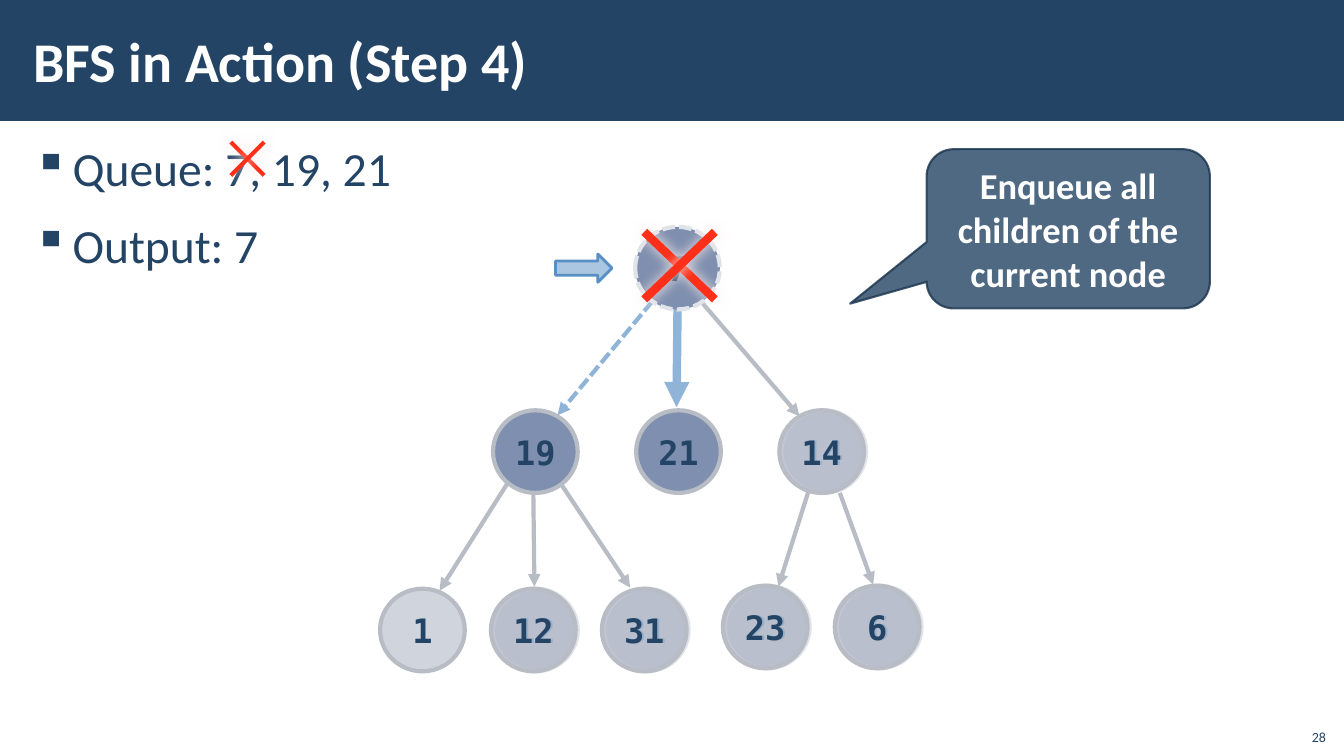
"""Builds the slide showing step 4 of a breadth-first search on a tree."""
from pptx import Presentation, util as u
from pptx.dml.color import RGBColor
from pptx.enum import dml, shapes, text
from pptx.oxml import parse_xml
from pptx.oxml.ns import nsdecls

W, H = 13.33, 7.5
C = {"navy": "234465", "dark": "1A334C", "white": "FFFFFF", "sky": "90B4D8",
     "grey": "B8BCC4", "pale": "E0E3E9", "slate": "A3ABBC", "deep": "002060",
     "root": "7F8FAF", "blue": "588FC5", "red": "FF2F19", "glow": "FFEDEB"}
SANS, MONO = "Calibri", "DejaVu Sans Mono"

TITLE = "BFS in Action (Step 4)"
BULLETS = ["Queue: 7, 19, 21", "Output: 7"]
CALLOUT = "Enqueue all children of the current node"
NUMBER = "28"

NODE_W, NODE_H, GHOST_SHIFT = 0.84, 0.82, 0.02
ROWS = [  # first left, pitch, top, values
    (6.3, 0, 2.25, ["7"]),
    (4.89, 1.42, 4.07, ["19", "21", "14"]),
    (3.77, 1.1, 5.84, ["1", "12", "31"]),
    (7.17, 1.11, 5.81, ["23", "6"]),
]
QUEUED = {"19", "21"}
GHOSTED = {"14", "12", "31", "23", "6"}
EDGES = [
    ((6.47, 2.99), (5.53, 4.12), {"color": "sky", "dash": True}),
    ((6.72, 3.06), (6.71, 4.04), {"color": "sky", "width": 6}),
    ((6.97, 3.01), (7.93, 4.13), {}),
    ((5.03, 4.8), (4.36, 5.86), {}),
    ((5.29, 4.9), (5.3, 5.82), {}),
    ((5.57, 4.81), (6.25, 5.83), {}),
    ((8.02, 4.87), (7.72, 5.82), {}),
    ((8.33, 4.89), (8.66, 5.8), {}),
]
CROSSES = [(2.29, 1.41, 0.33, 0.33, 3), (6.39, 2.3, 0.7, 0.67, 6)]


def xml(tag, inner="", **attrs):
    pairs = " ".join(f'{k}="{v}"' for k, v in attrs.items())
    return parse_xml(f"<a:{tag} {nsdecls('a')} {pairs}>{inner}</a:{tag}>")


def paint(fill, color, alpha=100):
    fill.solid()
    fill.fore_color.rgb = RGBColor.from_string(C[color])
    if alpha < 100:
        srgb = fill._xPr.find(".//{*}srgbClr")
        srgb.append(xml("alpha", val=alpha * 1000))


def outline(ln, color, width, dash=False, alpha=100):
    paint(ln.fill, color, alpha)
    ln.width = u.Pt(width)
    if dash:
        ln.dash_style = dml.MSO_LINE.SQUARE_DOT


def write(sp, lines, size, color, font=SANS, bold=False, align="LEFT",
          anchor="MIDDLE", wrap=True, bullet=None, inset=(0.1, 0.05)):
    tf = sp.text_frame
    tf.word_wrap = wrap
    tf.auto_size = text.MSO_AUTO_SIZE.NONE
    tf.vertical_anchor = text.MSO_ANCHOR[anchor]
    tf.margin_left = tf.margin_right = u.Inches(inset[0])
    tf.margin_top = tf.margin_bottom = u.Inches(inset[1])
    for i, line in enumerate(lines):
        p = tf.add_paragraph() if i else tf.paragraphs[0]
        p.alignment = text.PP_ALIGN[align]
        if bullet:
            p.line_spacing = 1.05
            p.space_before, p.space_after = u.Pt(6 if i else 0), u.Pt(6)
            pPr = p._p.get_or_add_pPr()
            pPr.set("marL", str(u.Inches(0.39)))
            pPr.set("indent", str(-u.Inches(0.39)))
            pPr.append(xml("buChar", char=bullet))
        r = p.add_run()
        r.text = line
        r.font.name, r.font.size, r.font.bold = font, u.Pt(size), bold
        r.font.color.rgb = RGBColor.from_string(C[color])


def add_box(s, x, y, w, h):
    return s.shapes.add_textbox(*map(u.Inches, (x, y, w, h)))


def add_shape(s, kind, x, y, w, h, fill, alpha=100):
    sp = s.shapes.add_shape(shapes.MSO_SHAPE[kind], *map(u.Inches, (x, y, w, h)))
    sp.shadow.inherit = False
    paint(sp.fill, fill, alpha)
    return sp


def add_line(s, start, end, color="grey", width=3, dash=False, arrow=True):
    cn = s.shapes.add_connector(shapes.MSO_CONNECTOR.STRAIGHT,
                                *map(u.Inches, (*start, *end)))
    outline(cn.line, color, width, dash)
    spPr = cn._element.spPr
    glow = ""
    if arrow:
        cn.line._get_or_add_ln().append(xml("tailEnd", type="triangle"))
    else:
        glow = (f'<a:outerShdw blurRad="{u.Pt(10)}" dist="0" dir="5400000">'
                f'<a:srgbClr val="{C["glow"]}"/></a:outerShdw>')
    spPr.append(xml("effectLst", glow))


def add_node(s, x, y, value, fill="slate", alpha=50, border="grey",
             ink="navy", dash=False):
    sp = add_shape(s, "OVAL", x, y, NODE_W, NODE_H, fill, alpha)
    outline(sp.line, border, 3, dash)
    write(sp, [value], 24, ink, MONO, True, "CENTER", wrap=False)


def add_tree(s):
    nodes = [(left + i * pitch, top, v) for left, pitch, top, values in ROWS
             for i, v in enumerate(values)]
    for x, y, v in nodes:
        if v in GHOSTED:
            add_node(s, x + GHOST_SHIFT, y, v, border="pale", ink="sky")
    for start, end, style in EDGES:
        add_line(s, start, end, **style)
    for x, y, v in nodes:
        if v == "7":
            add_node(s, x, y, v, "root", 100, "pale", "dark", True)
        else:
            add_node(s, x, y, v, "deep" if v in QUEUED else "slate")


def main():
    prs = Presentation()
    prs.slide_width, prs.slide_height = u.Inches(W), u.Inches(H)
    s = prs.slides.add_slide(prs.slide_layouts[5])

    title = s.shapes.title
    title.left, title.top, title.width, title.height = map(
        u.Inches, (0.21, 0.11, 10.63, 0.97))
    write(title, [TITLE], 40, "white", bold=True, inset=(0.12, 0.04))
    band = add_shape(s, "RECTANGLE", 0, 0, W, H * 0.16, "navy")
    band.line.fill.background()
    title.element.addprevious(band.element)

    write(add_box(s, 12.85, 7.12, 0.4, 0.32), [NUMBER], 10, "navy",
          align="RIGHT", anchor="BOTTOM")
    write(add_box(s, 0.21, 1.31, 12.92, 6.05), BULLETS, 34, "navy",
          anchor="TOP", bullet="▪", inset=(0.12, 0.04))

    add_tree(s)
    for x, y, w, h, width in CROSSES:
        for x1, x2 in ((x, x + w), (x + w, x)):
            add_line(s, (x1, y), (x2, y + h), "red", width, arrow=False)

    pointer = add_shape(s, "RIGHT_ARROW", 5.51, 2.52, 0.56, 0.28, "blue", 50)
    outline(pointer.line, "blue", 2)
    callout = add_shape(s, "ROUNDED_RECTANGULAR_CALLOUT",
                        9.19, 1.48, 2.81, 1.58, "navy", 80)
    for i, value in enumerate((-0.77, 0.47, 0.17)):
        callout.adjustments[i] = value
    outline(callout.line, "dark", 1.5, alpha=80)
    write(callout, [CALLOUT], 26, "white", bold=True, align="CENTER")
    prs.save("out.pptx")


if __name__ == "__main__":
    main()
